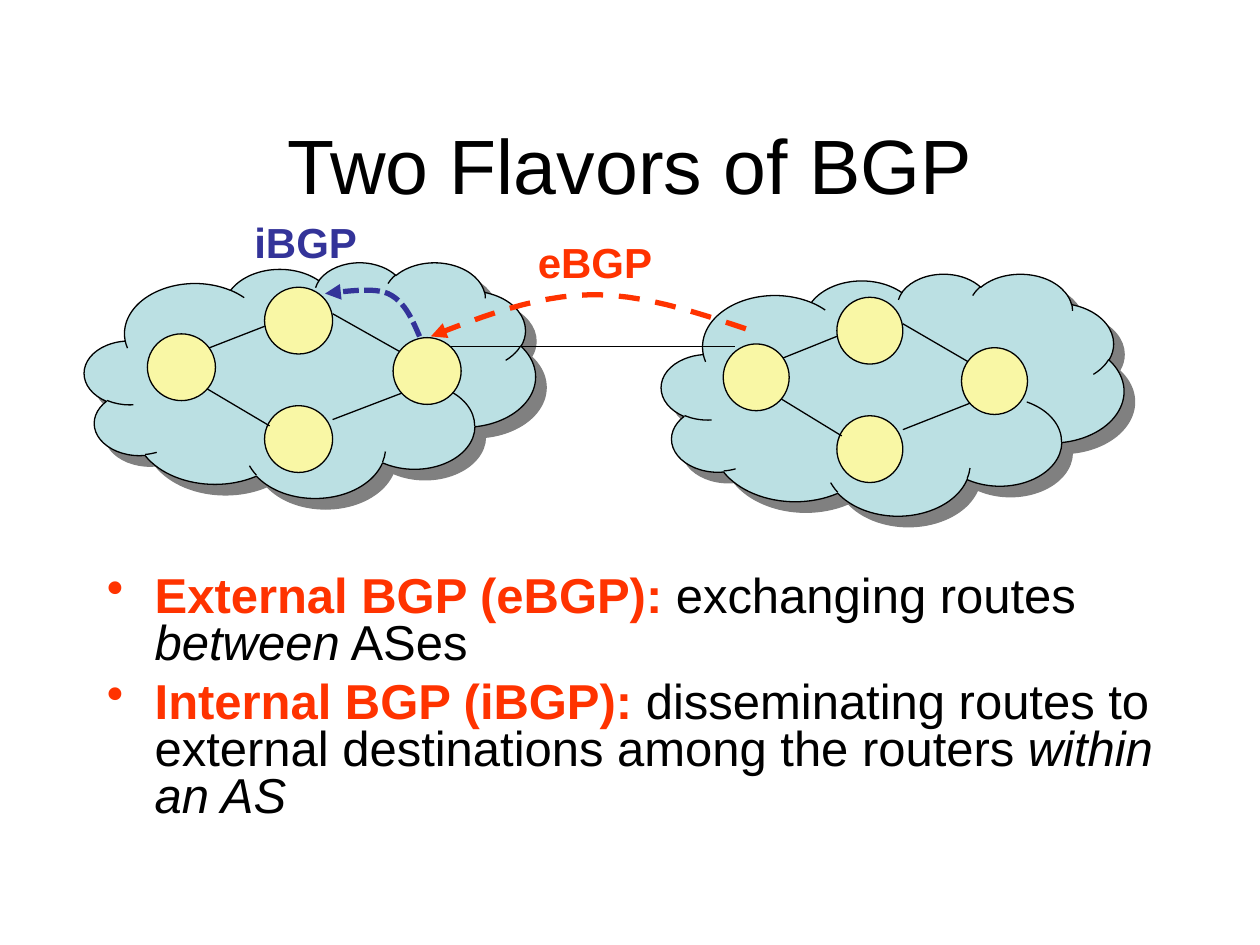
"""Build a slide on the two flavors of BGP: two router clouds above two definitions."""
from lxml import etree
from pptx import Presentation
from pptx.dml.color import RGBColor
from pptx.enum.dml import MSO_LINE
from pptx.enum.shapes import MSO_CONNECTOR, MSO_SHAPE
from pptx.enum.text import MSO_ANCHOR, PP_ALIGN
from pptx.oxml import parse_xml
from pptx.oxml.ns import nsdecls, qn
from pptx.util import Inches, Pt

CLOUD, OVAL, STRAIGHT = MSO_SHAPE.CLOUD, MSO_SHAPE.OVAL, MSO_CONNECTOR.STRAIGHT
DASH, DOT = MSO_LINE.DASH, MSO_LINE.SQUARE_DOT
CENTER, LEFT = PP_ALIGN.CENTER, PP_ALIGN.LEFT
MIDDLE, TOP = MSO_ANCHOR.MIDDLE, MSO_ANCHOR.TOP

THEME = {
    "font": "Arial",
    "title": Pt(44), "body": Pt(28), "label": Pt(24),
    "thin": Pt(0.75), "thick": Pt(3),
    "black": RGBColor.from_string("000000"),
    "cloud": RGBColor.from_string("BBE0E3"),
    "router": RGBColor.from_string("F9F7A5"),
    "external": RGBColor.from_string("FF3300"),
    "internal": RGBColor.from_string("333399"),
    "shadow": "808080",
}
BLACK, EXTERNAL, INTERNAL = THEME["black"], THEME["external"], THEME["internal"]


def add_text(shapes, box, paragraphs, size, anchor=TOP, **paragraph_format):
    """Add a wrapping text box whose runs are (text, colour, bold, italic)."""
    text_box = shapes.add_textbox(*map(Inches, box))
    frame = text_box.text_frame
    frame.word_wrap = True
    frame.vertical_anchor = anchor
    for index, runs in enumerate(paragraphs):
        paragraph = frame.add_paragraph() if index else frame.paragraphs[0]
        for name, value in paragraph_format.items():
            setattr(paragraph, name, value)
        for text, color, bold, italic in runs:
            run = paragraph.add_run()
            run.text = text
            run.font.color.rgb = color
            font_format = {"name": THEME["font"], "size": size, "bold": bold, "italic": italic}
            for name, value in font_format.items():
                setattr(run.font, name, value)
    return frame


def style_line(shape, color=BLACK, width=THEME["thin"]):
    """Give a shape or connector a plain outline and no theme shadow."""
    shape.line.color.rgb = color
    shape.line.width = width
    properties = shape._element.spPr
    if properties.find(qn("a:effectLst")) is None:
        etree.SubElement(properties, qn("a:effectLst"))


presentation = Presentation()
presentation.slide_width = Inches(10)
presentation.slide_height = Inches(7.5)
slide = presentation.slides.add_slide(presentation.slide_layouts[6])

add_text(slide.shapes, (0.75, 0.67, 8.5, 1.25),
         [[("Two Flavors of BGP", BLACK, False, False)]],
         THEME["title"], MIDDLE, alignment=CENTER)

definitions = [
    [("External BGP (eBGP):", EXTERNAL, True, False),
     (" exchanging routes ", BLACK, False, False),
     ("between", BLACK, False, True),
     (" ASes", BLACK, False, False)],
    [("Internal BGP (iBGP):", EXTERNAL, True, False),
     (" disseminating routes to external destinations among the routers ", BLACK, False, False),
     ("within an AS", BLACK, False, True)],
]
body = add_text(slide.shapes, (0.75, 4.52, 8.5, 2.15), definitions, THEME["body"],
                alignment=LEFT, line_spacing=0.8, space_before=Pt(7))
for paragraph in body.paragraphs:
    properties = paragraph._p.get_or_add_pPr()
    properties.set("marL", str(Inches(0.38)))
    properties.set("indent", str(Inches(-0.38)))
    bullet_color = etree.SubElement(properties, qn("a:buClr"))
    etree.SubElement(bullet_color, qn("a:srgbClr"), val=str(EXTERNAL))
    etree.SubElement(properties, qn("a:buChar"), char="•")

autonomous_systems = [
    ((0.67, 2.08, 3.58, 1.87), (1.17, 2.28), 1),
    ((5.25, 2.17, 3.67, 1.92), (5.74, 2.36), 0.97),
]
inner_routers = [(0.93, 0), (0.93, 0.94)]
outer_routers = [(1.95, 0.4), (0, 0.37)]
router_links = [
    (0.39, 0.52, 0.93, 0.31),
    (1.47, 1.05, 2.02, 0.84),
    (0.43, 0.78, 0.97, 1.1),
    (1.47, 0.21, 2.02, 0.52),
]
for cloud_box, (left, top), scale in autonomous_systems:
    cloud = slide.shapes.add_shape(CLOUD, *map(Inches, cloud_box))
    cloud.fill.solid()
    cloud.fill.fore_color.rgb = THEME["cloud"]
    style_line(cloud)
    cloud._element.spPr.find(qn("a:effectLst")).append(parse_xml(
        f'<a:outerShdw {nsdecls("a")} dist="{Pt(8.5)}" dir="2700000" algn="ctr" rotWithShape="0">'
        f'<a:srgbClr val="{THEME["shadow"]}"/></a:outerShdw>'))

    network = slide.shapes.add_group_shape().shapes
    for routers, links in ((inner_routers, router_links), (outer_routers, [])):
        for x, y in routers:
            router = network.add_shape(OVAL, Inches(left + x * scale), Inches(top + y),
                                       Inches(0.54 * scale), Inches(0.53))
            router.fill.solid()
            router.fill.fore_color.rgb = THEME["router"]
            style_line(router)
        for x1, y1, x2, y2 in links:
            link = network.add_connector(
                STRAIGHT, Inches(left + x1 * scale), Inches(top + y1),
                Inches(left + x2 * scale), Inches(top + y2))
            style_line(link)

border_link = slide.shapes.add_connector(STRAIGHT, *map(Inches, (3.58, 2.75, 5.83, 2.75)))
style_line(border_link)

sessions = [
    ("eBGP", (4.17, 1.83, 1.58, 0.5), EXTERNAL, DASH,
     [(5.92, 2.61), (5.5, 2.47), (5.08, 2.33), (4.67, 2.34),
      (4.25, 2.35), (3.83, 2.51), (3.42, 2.67)]),
    ("iBGP", (1.92, 1.67, 1.58, 0.5), INTERNAL, DOT,
     [(3.33, 2.67), (3.27, 2.53), (3.21, 2.39), (3.08, 2.33),
      (2.96, 2.28), (2.77, 2.31), (2.58, 2.33)]),
]
steps = 12
for name, label_box, color, dash, controls in sessions:
    session = slide.shapes.add_group_shape().shapes
    points = []
    for first in (0, 3):
        for step in range(1, steps + 1):
            t = step / steps
            weights = ((1 - t) ** 3, 3 * t * (1 - t) ** 2, 3 * t * t * (1 - t), t ** 3)
            points.append(tuple(
                Inches(sum(weight * control[axis] for weight, control
                           in zip(weights, controls[first:first + 4])))
                for axis in (0, 1)))
    builder = session.build_freeform(*map(Inches, controls[0]))
    builder.add_line_segments(points, close=False)
    curve = builder.convert_to_shape()
    curve.fill.background()
    style_line(curve, color, THEME["thick"])
    curve.line.dash_style = dash
    etree.SubElement(curve.line._get_or_add_ln(), qn("a:tailEnd"), type="triangle")
    add_text(session, label_box, [[(name, color, True, False)]], THEME["label"],
             space_before=Pt(15))

presentation.save("out.pptx")
